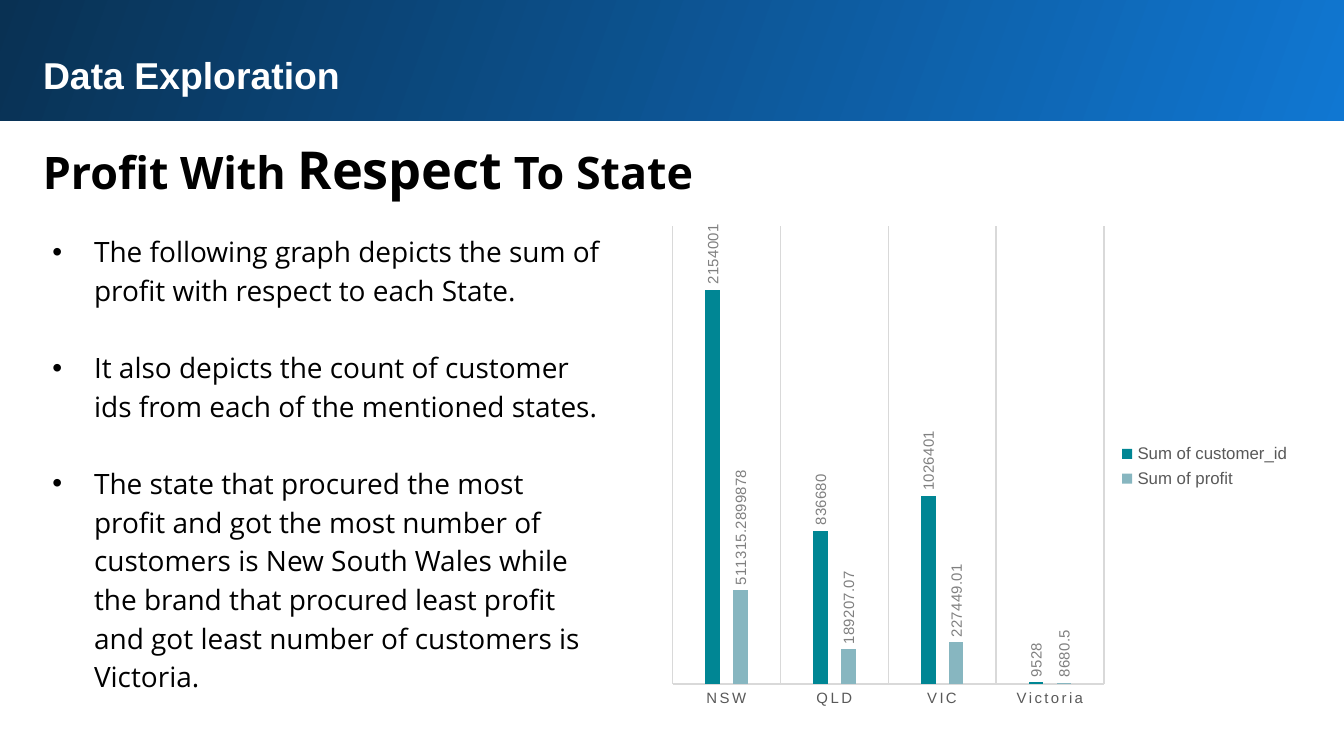
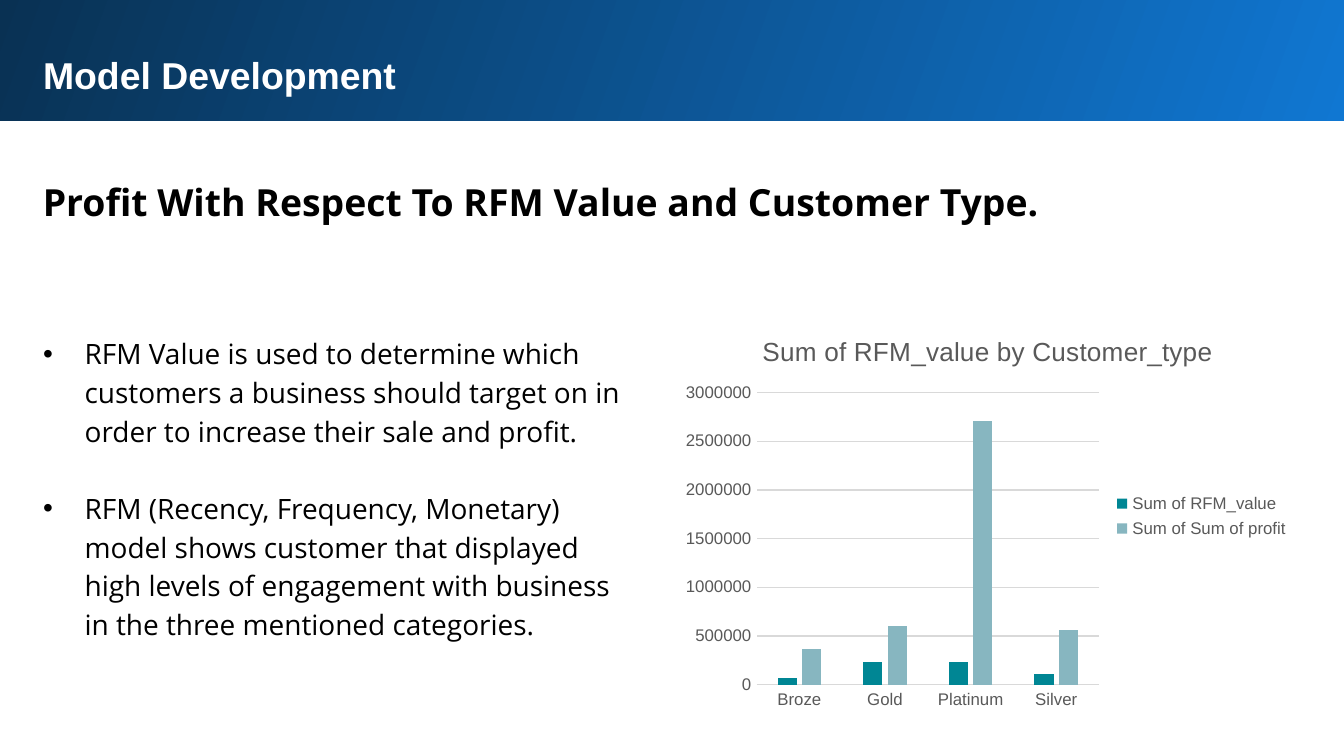
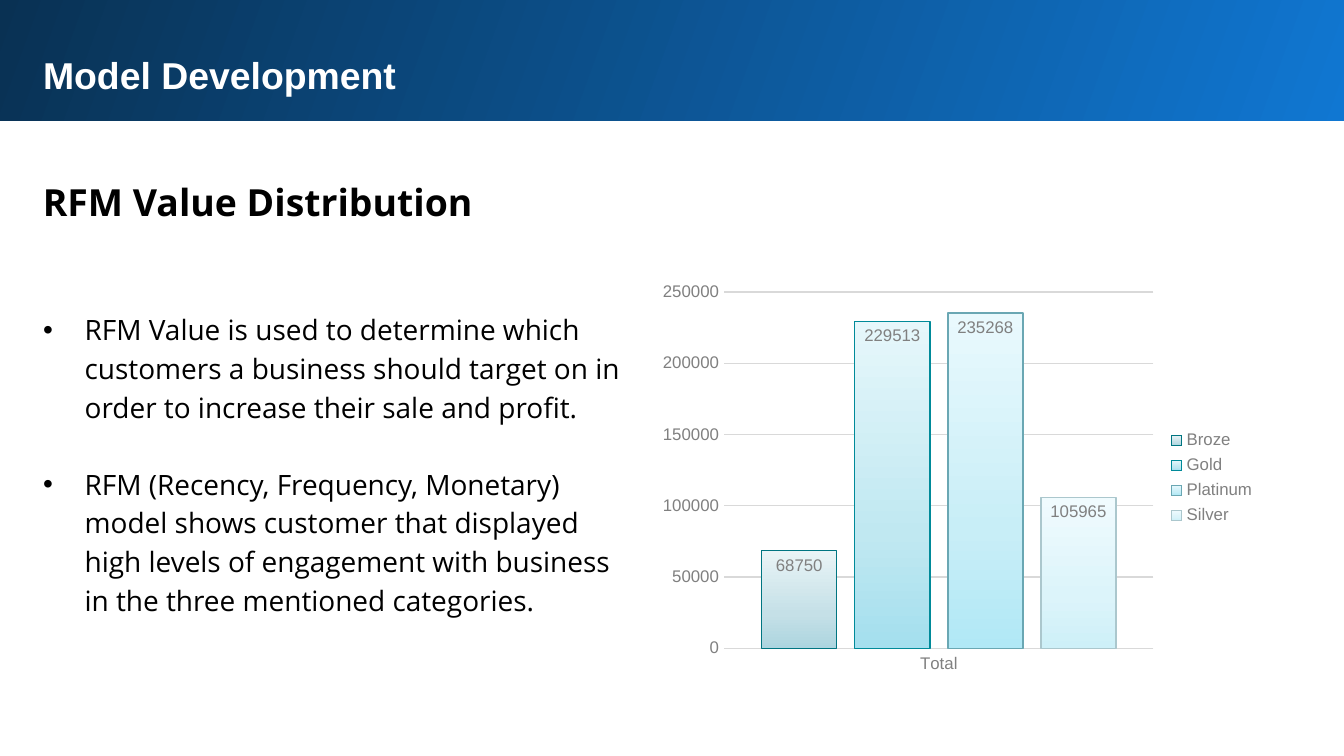
"""Three slides of bullets and column charts under a gradient title band."""
from lxml import etree
from pptx import Presentation
from pptx import util as u
from pptx.chart.data import CategoryChartData
from pptx.dml.color import RGBColor
from pptx.enum import chart as ch, shapes, text
from pptx.oxml.ns import qn

BLACK, WHITE, RULE = "000000", "FFFFFF", "D9D9D9"
DARK_GREY, GREY = "595959", "808080"
TEAL, PALE_TEAL = "008694", "87B6C0"
BAND_STOPS = [(0, "1077D2"), (100, "093153")]
SANS, BODY = "Arial", "Open Sans"
BAND_BOX = (-0.02, -0.02, 10.05, 0.92)
TITLE_BOX = (0.22, 0.29, 9.37, 0.51)
INDENT, BULLET_GAP = 0.31, 20.7

STATE_POINTS = [
    "The following graph depicts the sum of profit with respect to each State.",
    "It also depicts the count of customer ids from each of the mentioned states.",
    "The state that procured the most profit and got the most number of customers is "
    "New South Wales while the brand that procured least profit and got least number "
    "of customers is Victoria.",
]
RFM_POINTS = [
    "RFM Value is used to determine which customers a business should target on in "
    "order to increase their sale and profit.",
    "RFM (Recency, Frequency, Monetary) model shows customer that displayed high levels "
    "of engagement with business in the three mentioned categories.",
]


def rgb(value):
    """Turn a hex string into a colour."""
    return RGBColor.from_string(value)


def inches(box):
    """Turn a box of numbers into lengths."""
    return [u.Inches(n) for n in box]


def set_attrs(obj, **values):
    """Set several attributes of one object."""
    for name, value in values.items():
        setattr(obj, name, value)


def set_font(font, size, color, name=SANS, bold=False):
    """Format one font."""
    set_attrs(font, size=u.Pt(size), name=name, bold=bold)
    font.color.rgb = rgb(color)


def set_line(line, color, width=0.75):
    """Give a line its colour and width."""
    line.color.rgb = rgb(color)
    line.width = u.Pt(width)


def set_gradient(fill, element, stops, angle):
    """Fill with a linear gradient, its angle clockwise in degrees."""
    fill.gradient()
    grad = next(element.iter(qn("a:gradFill")))
    gs_list = grad.find(qn("a:gsLst"))
    for gs in list(gs_list):
        gs_list.remove(gs)
    for pos, color in stops:
        gs = etree.SubElement(gs_list, qn("a:gs"), pos=str(pos * 1000))
        etree.SubElement(gs, qn("a:srgbClr"), val=color)
    grad.find(qn("a:lin")).set("ang", str(angle * 60000))


def place_text(sp, box):
    """Place a text shape and return its frame, set up for top-left text."""
    for name, value in zip(("left", "top", "width", "height"), inches(box)):
        setattr(sp, name, value)
    tf = sp.text_frame
    inset = u.Inches(0.1)
    set_attrs(tf, word_wrap=True, auto_size=text.MSO_AUTO_SIZE.SHAPE_TO_FIT_TEXT,
              vertical_anchor=text.MSO_ANCHOR.TOP, margin_left=inset,
              margin_right=inset, margin_top=inset, margin_bottom=inset)
    return tf


def add_runs(p, runs, color, name, bold=False, spacing=1.0, before=0):
    """Write (text, size) runs into a left-aligned paragraph."""
    set_attrs(p, alignment=text.PP_ALIGN.LEFT, line_spacing=spacing,
              space_before=u.Pt(before), space_after=u.Pt(0))
    for words, size in runs:
        r = p.add_run()
        r.text = words
        set_font(r.font, size, color, name, bold)


def add_band(s, box):
    """Draw the gradient band behind everything else."""
    sp = s.shapes.add_shape(shapes.MSO_SHAPE.RECTANGLE, *inches(box))
    sp.shadow.inherit = False
    sp.line.fill.background()
    set_gradient(sp.fill, sp._element.spPr, BAND_STOPS, 200)
    s.shapes._spTree.insert(2, sp._element)


def add_heading(s, box, runs):
    """Write the bold heading below the band."""
    tf = place_text(s.shapes.add_textbox(*inches(box)), box)
    add_runs(tf.paragraphs[0], runs, BLACK, BODY, bold=True, spacing=1.15)


def fill_bullets(sp, box, points):
    """Write the bulleted list into the body placeholder."""
    tf = place_text(sp, box)
    for i, point in enumerate(points):
        p = tf.add_paragraph() if i else tf.paragraphs[0]
        add_runs(p, [(point, 15)], BLACK, BODY, spacing=1.15,
                 before=BULLET_GAP if i else 0)
        ppr = p._p.get_or_add_pPr()
        ppr.set("marL", str(u.Inches(INDENT)))
        ppr.set("indent", str(-u.Inches(INDENT)))
        etree.SubElement(ppr, qn("a:buFont"), typeface=SANS)
        etree.SubElement(ppr, qn("a:buChar"), char="\u2022")


def add_slide(prs, title, heading_box, heading, body_box, points):
    """Add a slide with its band, title, heading and bullets."""
    s = prs.slides.add_slide(prs.slide_layouts[1])
    add_band(s, BAND_BOX)
    tf = place_text(s.shapes.title, TITLE_BOX)
    add_runs(tf.paragraphs[0], [(title, 20)], WHITE, SANS, bold=True)
    add_heading(s, heading_box, heading)
    fill_bullets(s.placeholders[1], body_box, points)
    return s


def add_columns(s, box, cats, series, gap, overlap, color):
    """Add a clustered column chart with the shared axis and legend style."""
    data = CategoryChartData()
    data.categories = cats
    for name, values in series:
        data.add_series(name, values)
    chart = s.shapes.add_chart(ch.XL_CHART_TYPE.COLUMN_CLUSTERED, *inches(box), data).chart
    set_font(chart.font, 10, BLACK)
    set_attrs(chart, has_title=False, has_legend=True)
    set_attrs(chart.legend, position=ch.XL_LEGEND_POSITION.RIGHT, include_in_layout=False)
    set_font(chart.legend.font, 9, color)
    set_attrs(chart.plots[0], gap_width=gap, overlap=overlap, vary_by_categories=False)
    for axis in (chart.category_axis, chart.value_axis):
        set_attrs(axis, major_tick_mark=ch.XL_TICK_MARK.NONE,
                  minor_tick_mark=ch.XL_TICK_MARK.NONE)
        set_font(axis.tick_labels.font, 9, color)
    set_line(chart.category_axis.format.line, RULE)
    chart.value_axis.format.line.fill.background()
    set_line(chart.value_axis.major_gridlines.format.line, RULE)
    return chart


def color_columns(chart):
    """Fill the two series with the teal pair."""
    for ser, color in zip(chart.plots[0].series, (TEAL, PALE_TEAL)):
        ser.format.fill.solid()
        ser.format.fill.fore_color.rgb = rgb(color)


def add_labels(ser, position, size):
    """Show the values of a series and return the labels."""
    labels = ser.data_labels
    set_attrs(labels, show_value=True, position=position)
    set_font(labels.font, size, GREY)
    return labels


def add_state_chart(s, box):
    """Chart customers and profit by state, with upright labels."""
    chart = add_columns(s, box, ["NSW", "QLD", "VIC", "Victoria"], [
        ("Sum of customer_id", [2154001, 836680, 1026401, 9528]),
        ("Sum of profit", [511315.2899878, 189207.07, 227449.01, 8680.5]),
    ], 444, -90, DARK_GREY)
    color_columns(chart)
    set_attrs(chart.value_axis, visible=False, has_major_gridlines=False)
    axis = chart.category_axis
    axis.has_major_gridlines = True
    set_line(axis.major_gridlines.format.line, RULE)
    axis.tick_labels.font.size = u.Pt(8)
    next(axis._element.iter(qn("a:defRPr"))).set("spc", "120")
    for ser in chart.plots[0].series:
        labels = add_labels(ser, ch.XL_LABEL_POSITION.OUTSIDE_END, 8)
        body = next(labels._element.iter(qn("a:bodyPr")))
        body.set("rot", "-5400000")
        body.set("vert", "horz")


def add_customer_chart(s, box):
    """Chart RFM value and profit by customer type."""
    chart = add_columns(s, box, ["Broze", "Gold", "Platinum", "Silver"], [
        ("Sum of RFM_value", [70000, 230000, 230000, 110000]),
        ("Sum of Sum of profit", [370000, 600000, 2710000, 560000]),
    ], 219, -27, DARK_GREY)
    color_columns(chart)
    p = chart.chart_title.text_frame.paragraphs[0]
    r = p.add_run()
    r.text = "Sum of RFM_value by Customer_type"
    set_font(r.font, 14, DARK_GREY)


def add_distribution_chart(s, box):
    """Chart the RFM total of each customer type in gradient columns."""
    types = [
        ("Broze", 68750, ("ACD5DF", "C5E0E7", "E9F4F6"), "007581"),
        ("Gold", 229513, ("A4DFEE", "C0E8F1", "E6F7FB"), "008A99"),
        ("Platinum", 235268, ("B1E8F6", "C8EEF7", "E9F9FD"), "6AA7B3"),
        ("Silver", 105965, ("CEF0F8", "DCF4FA", "F0FBFE"), "ABC7CD"),
    ]
    chart = add_columns(s, box, ["Total"], [(t[0], [t[1]]) for t in types], 100, -24, GREY)
    for ser, (_, _, colors, outline) in zip(chart.plots[0].series, types):
        set_gradient(ser.format.fill, ser._element, zip((0, 35, 100), colors), 270)
        set_line(ser.format.line, outline)
        add_labels(ser, ch.XL_LABEL_POSITION.INSIDE_END, 9)


def main():
    """Build and save the presentation."""
    prs = Presentation()
    width = u.Inches(10)
    set_attrs(prs, slide_width=width, slide_height=width * 9 // 16)

    s = add_slide(prs, "Data Exploration", (0.22, 0.85, 9.37, 0.71),
                  [("Profit With ", 24), ("Respect", 28), (" To State", 24)],
                  (0.29, 1.61, 4.29, 3.67), STATE_POINTS)
    add_state_chart(s, (4.91, 1.61, 4.79, 3.72))

    rfm_slides = [
        ("Profit With Respect To RFM Value and Customer Type.", 2.37,
         add_customer_chart, (5.01, 2.34, 4.68, 3)),
        ("RFM Value Distribution", 2.19,
         add_distribution_chart, (4.84, 2.04, 4.6, 3.03)),
    ]
    for heading, top, add_chart, box in rfm_slides:
        s = add_slide(prs, "Model Development", (0.22, 1.18, 9.37, 0.56),
                      [(heading, 20)], (0.22, top, 4.52, 2.51), RFM_POINTS)
        add_chart(s, box)

    prs.save("out.pptx")


main()
